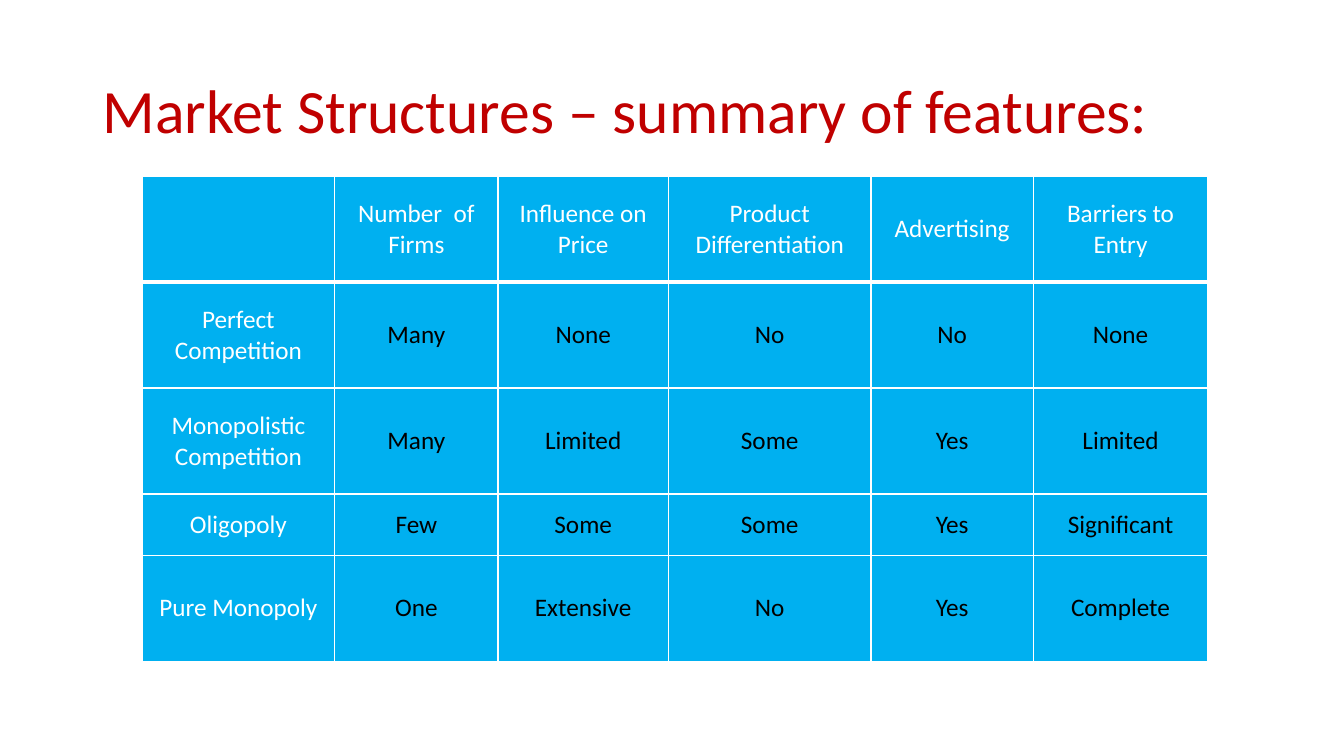
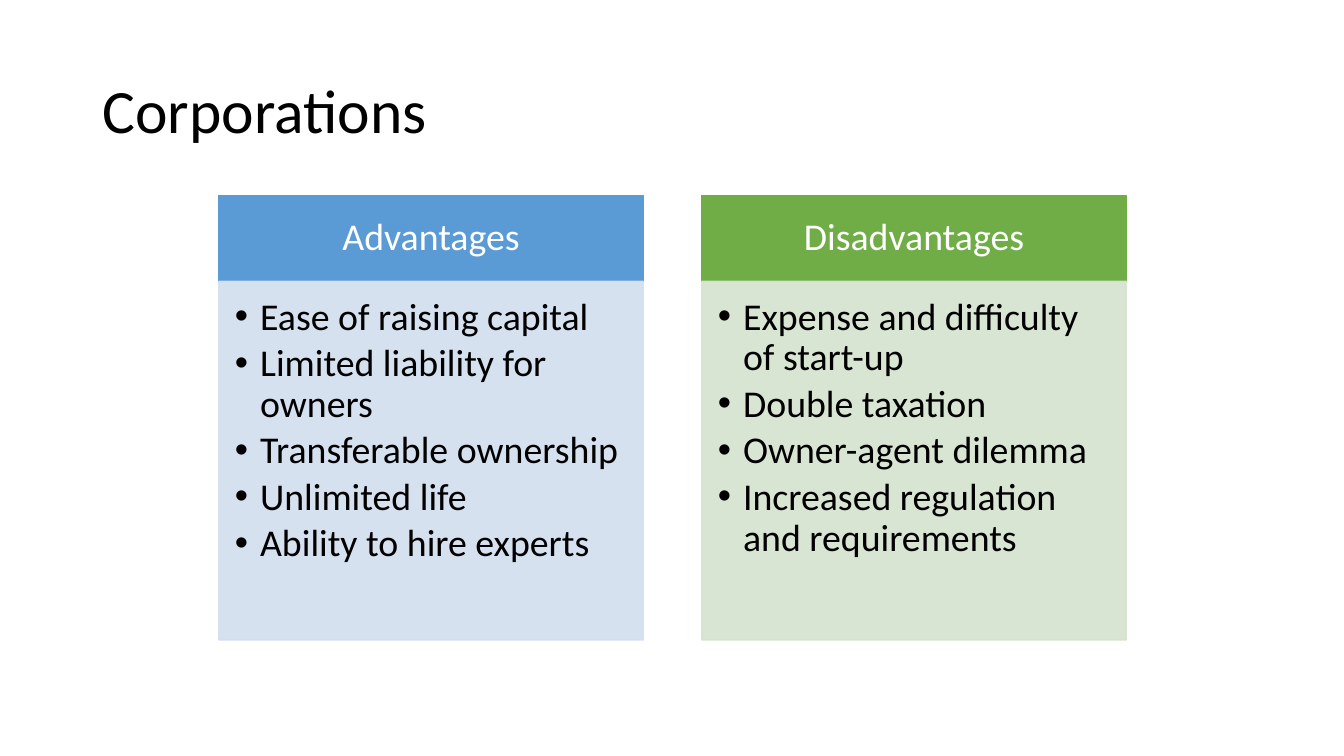
from pptx import Presentation
from pptx.dml.color import RGBColor
from pptx.enum.shapes import MSO_SHAPE
from pptx.enum.text import MSO_ANCHOR, PP_ALIGN
from pptx.oxml import parse_xml
from pptx.oxml.ns import nsdecls, qn
from pptx.util import Pt

EMU_PER_PX = 9144  # 100 px to the inch

WHITE = RGBColor(0xFF, 0xFF, 0xFF)
BLACK = RGBColor(0x00, 0x00, 0x00)
RED = RGBColor(0xC0, 0x00, 0x00)
CYAN = RGBColor(0x00, 0xB0, 0xF0)
BLUE = RGBColor(0x5B, 0x9B, 0xD5)
PALE_BLUE = RGBColor(0xD2, 0xDE, 0xEF)
GREEN = RGBColor(0x70, 0xAD, 0x47)
PALE_GREEN = RGBColor(0xD5, 0xE3, 0xCF)


def px(*lengths):
    return [length * EMU_PER_PX for length in lengths]


class Deck:
    font_name = "Calibri"
    title_size = 44
    table_size = 18
    card_size = 27
    line_spacing = 0.9

    def __init__(self):
        self.presentation = Presentation()
        self.presentation.slide_width, self.presentation.slide_height = px(1333, 750)
        self.slide = None

    def add_slide(self, title, color=BLACK):
        self.slide = self.presentation.slides.add_slide(self.presentation.slide_layouts[6])
        text_box = self.slide.shapes.add_textbox(*px(92, 40, 1150, 145))
        self.set_text(text_box.text_frame, title, self.title_size, color)

    def set_text(self, text_frame, text, size, color, align=PP_ALIGN.LEFT,
                 anchor=MSO_ANCHOR.MIDDLE, spacing=line_spacing, space_after=0):
        text_frame.text = text
        text_frame.word_wrap = True
        text_frame.vertical_anchor = anchor
        for paragraph in text_frame.paragraphs:
            paragraph.alignment = align
            paragraph.line_spacing = spacing
            paragraph.space_after = Pt(space_after)
            for run in paragraph.runs:
                run.font.name = self.font_name
                run.font.size = Pt(size)
                run.font.color.rgb = color

    def add_bullets(self, text_frame, indent):
        indent, = px(indent)
        for paragraph in text_frame.paragraphs:
            properties = paragraph._p.get_or_add_pPr()
            properties.set("marL", str(indent))
            properties.set("indent", str(-indent))
            properties.append(parse_xml(f'<a:buFont {nsdecls("a")} typeface="Arial"/>'))
            properties.append(parse_xml(f'<a:buChar {nsdecls("a")} char="•"/>'))

    def add_panel(self, bounds, color, insets, opacity=100):
        shape = self.slide.shapes.add_shape(MSO_SHAPE.RECTANGLE, *px(*bounds))
        shape.shadow.inherit = False
        shape.fill.solid()
        shape.fill.fore_color.rgb = color
        shape.line.color.rgb = color
        shape.line.width = Pt(1)
        if opacity < 100:
            for color_element in shape._element.spPr.iter(qn("a:srgbClr")):
                color_element.append(
                    parse_xml(f'<a:alpha {nsdecls("a")} val="{opacity * 1000}"/>'))
        frame = shape.text_frame
        (frame.margin_left, frame.margin_top,
         frame.margin_right, frame.margin_bottom) = px(*insets)
        return frame

    def add_card(self, left, heading, items, color, pale_color):
        top, width, heading_height, body_height = 194, 421, 85, 356
        frame = self.add_panel((left, top, width, heading_height), color, (21, 12, 21, 12))
        self.set_text(frame, heading, self.card_size, WHITE, PP_ALIGN.CENTER)
        frame = self.add_panel((left, top + heading_height, width, body_height),
                               pale_color, (16, 16, 21, 24), opacity=90)
        self.set_text(frame, "\n".join(items), self.card_size, BLACK,
                      anchor=MSO_ANCHOR.TOP, space_after=4)
        self.add_bullets(frame, 25)

    def add_borders(self, cell, bottom_width):
        properties = cell._tc.get_or_add_tcPr()
        for side, width in (("L", 1), ("R", 1), ("T", 1), ("B", bottom_width)):
            properties.append(parse_xml(
                f'<a:ln{side} {nsdecls("a")} w="{Pt(width)}"><a:solidFill>'
                f'<a:srgbClr val="{WHITE}"/></a:solidFill></a:ln{side}>'))

    def add_table(self, left, top, column_widths, row_heights, rows):
        bounds = px(left, top, sum(column_widths), sum(row_heights))
        table = self.slide.shapes.add_table(len(rows), len(column_widths), *bounds).table
        table.first_row = table.horz_banding = False
        for column, width in zip(table.columns, px(*column_widths)):
            column.width = width
        for row, height in zip(table.rows, px(*row_heights)):
            row.height = height
        for row_index, row in enumerate(rows):
            for column_index, text in enumerate(row):
                cell = table.cell(row_index, column_index)
                is_heading = row_index == 0 or column_index == 0
                self.add_borders(cell, bottom_width=3 if row_index == 0 else 1)
                cell.fill.solid()
                cell.fill.fore_color.rgb = CYAN
                cell.vertical_anchor = MSO_ANCHOR.MIDDLE
                self.set_text(cell.text_frame, text, self.table_size,
                              WHITE if is_heading else BLACK, PP_ALIGN.CENTER, spacing=1.0)


def main():
    deck = Deck()

    # Market structures table
    deck.add_slide("Market Structures – summary of features:", RED)
    deck.add_table(141, 175, (191, 162, 169, 201, 161, 173), (105, 105, 105, 61, 105), (
        ("", "Number  of Firms", "Influence on Price", "Product Differentiation",
         "Advertising", "Barriers to Entry"),
        ("Perfect Competition", "Many", "None", "No", "No", "None"),
        ("Monopolistic Competition", "Many", "Limited", "Some", "Yes", "Limited"),
        ("Oligopoly", "Few", "Some", "Some", "Yes", "Significant"),
        ("Pure Monopoly", "One", "Extensive", "No", "Yes", "Complete"),
    ))

    # Advantages and disadvantages of corporations
    deck.add_slide("Corporations")
    cards = (
        ("Advantages", ("Ease of raising capital", "Limited liability for owners",
                        "Transferable ownership", "Unlimited life",
                        "Ability to hire experts"), BLUE, PALE_BLUE),
        ("Disadvantages", ("Expense and difficulty of start-up", "Double taxation",
                           "Owner-agent dilemma",
                           "Increased regulation and requirements"), GREEN, PALE_GREEN),
    )
    for index, card in enumerate(cards):
        deck.add_card(217 + index * 479, *card)

    deck.presentation.save("out.pptx")


if __name__ == "__main__":
    main()
